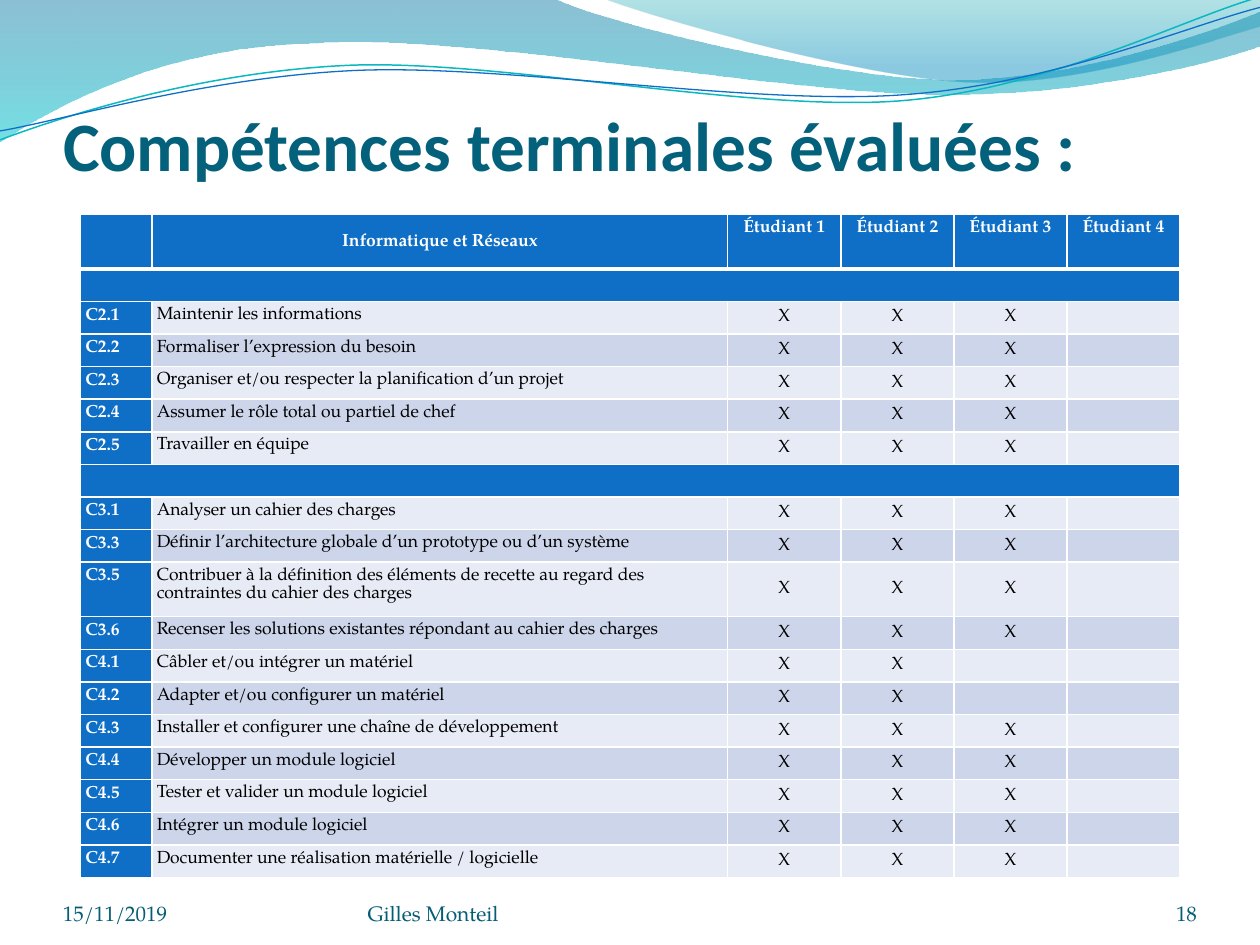
"""Build the slide listing the final skills assessed for each student."""
from lxml.etree import SubElement
from pptx import Presentation
from pptx.dml.color import RGBColor as Rgb
from pptx.enum.text import MSO_ANCHOR as Anchor, PP_ALIGN as Align
from pptx.oxml.ns import qn
from pptx.util import Cm, Pt

COLORS = {
    "blue": "0F6FC6", "teal": "0AB8BF", "title": "04617B", "footer": "045D75",
    "white": "FFFFFF", "black": "000000", "light": "E7EBF5", "dark": "CCD5EA",
    "deep": "0074A1", "cyan": "00C6CF", "sea": "00A1A9", "sky": "008BBF",
}
COLUMNS = [1.44, 11.61] + [2.28] * 4
TABLE_HEIGHT, TALL_ROW = 13.37, 1.1
HEADER = ["", "Informatique et Réseaux"] + [f"Étudiant {n}" for n in range(1, 5)]
SECTIONS = [
    [
        ("C2.1", "Maintenir les informations", 3),
        ("C2.2", "Formaliser l’expression du besoin", 3),
        ("C2.3", "Organiser et/ou respecter la planification d’un projet", 3),
        ("C2.4", "Assumer le rôle total ou partiel de chef", 3),
        ("C2.5", "Travailler en équipe", 3),
    ],
    [
        ("C3.1", "Analyser un cahier des charges", 3),
        ("C3.3", "Définir l’architecture globale d’un prototype ou d’un système", 3),
        ("C3.5", "Contribuer à la définition des éléments de recette au regard des "
                 "contraintes du cahier des charges", 3),
        ("C3.6", "Recenser les solutions existantes répondant au cahier des charges", 3),
        ("C4.1", "Câbler et/ou intégrer un matériel", 2),
        ("C4.2", "Adapter et/ou configurer un matériel", 2),
        ("C4.3", "Installer et configurer une chaîne de développement", 3),
        ("C4.4", "Développer un module logiciel", 3),
        ("C4.5", "Tester et valider un module logiciel", 3),
        ("C4.6", "Intégrer un module logiciel", 3),
        ("C4.7", "Documenter une réalisation matérielle / logicielle", 3),
    ],
]
BROAD_WAVE = [
    (0, 0), (11.18, -0.03), (12.09, 0.43, 16.87, 1.6, 19.25, 1.6),
    (21.67, 1.6, 24.33, 0.66, 25.4, 0.23), (25.43, 0.91),
    (24.97, 1.12, 22.1, 1.93, 18.95, 1.9), (15.8, 1.9, 9.7, 0.71, 6.53, 0.86),
    (3.28, 0.91, 1.17, 2.11, -0.03, 2.87), (0, 0),
]
RIGHT_WAVE = [
    (12.17, -0.03), (12.93, 0.28, 17.32, 1.57, 19.53, 1.65),
    (21.74, 1.75, 24.41, 0.81, 25.4, 0.53), (25.4, 0), (12.17, -0.03),
]
TEAL_CURVE = [
    (-0.05, 2.22), (1.19, 1.82, 4.02, 1.04, 7.05, 1.05),
    (10.05, 1.07, 15.02, 2.37, 18.08, 2.29), (21.13, 2.2, 23.87, 0.91, 25.41, 0.55),
]
BLUE_CURVE = [
    (-0.04, 2.04), (1.16, 1.9, 4.18, 1.15, 7.2, 1.16),
    (10.25, 1.18, 15.13, 2.25, 18.18, 2.17), (21.21, 2.1, 23.93, 1.06, 25.45, 0.75),
]


class Deck:
    """Hold the style and the current slide."""

    body_font, title_font = "TeX Gyre Pagella", "Calibri"

    def __init__(self):
        """Open a presentation with one title-only slide."""
        self.presentation = Presentation()
        self.presentation.slide_width, self.presentation.slide_height = Cm(25.4), Cm(19.05)
        self.slide = self.presentation.slides.add_slide(self.presentation.slide_layouts[5])

    def color(self, name):
        """Return a palette colour."""
        return Rgb.from_string(COLORS[name])

    def style(self, paragraph, size, color, bold=False, align=Align.LEFT, name=None):
        """Format one paragraph."""
        paragraph.alignment = align
        font = paragraph.font
        font.name, font.size, font.bold = name or self.body_font, Pt(size), bold
        font.color.rgb = self.color(color)

    def outline(self, segments, close):
        """Draw a freeform whose six-number segments are cubic curves."""
        anchors = [(Cm(segment[-2]), Cm(segment[-1])) for segment in segments]
        builder = self.slide.shapes.build_freeform(*anchors[0])
        builder.add_line_segments(anchors[1:], close=close)
        shape = builder.convert_to_shape()
        shape.shadow.inherit = False
        route = next(shape.element.iter(qn("a:path")))
        for command in list(route):
            route.remove(command)
        for order, segment in enumerate(segments):
            kind = "cubicBezTo" if len(segment) == 6 else "lnTo" if order else "moveTo"
            command = SubElement(route, qn(f"a:{kind}"))
            for x, y in zip(segment[::2], segment[1::2]):
                SubElement(command, qn("a:pt"), x=str(Cm(x) - shape.left), y=str(Cm(y) - shape.top))
        if close:
            SubElement(route, qn("a:close"))
        return shape

    def wave(self, segments, stops):
        """Draw a closed shape with a translucent vertical gradient."""
        shape = self.outline(segments, True)
        shape.line.fill.background()
        shape.fill.gradient()
        shape.fill.gradient_angle = 270
        for stop, (position, color, _) in zip(shape.fill.gradient_stops, stops):
            stop.position, stop.color.rgb = position, self.color(color)
        for tint, (_, _, opacity) in zip(shape.element.iter(qn("a:srgbClr")), stops):
            SubElement(tint, qn("a:alpha"), val=str(opacity * 1000))

    def curve(self, segments, color, width):
        """Draw an open, slightly turned line."""
        shape = self.outline(segments, False)
        shape.rotation = 357.3
        shape.fill.background()
        shape.line.color.rgb, shape.line.width = self.color(color), Pt(width)

    def title(self, text):
        """Fill the title placeholder and bring it in front of the waves."""
        title = self.slide.shapes.title
        self.slide.shapes.element.append(title.element)
        title.left, title.top, title.width, title.height = Cm(1.27), Cm(1.96), Cm(22.86), Cm(1.98)
        frame = title.text_frame
        frame.margin_left = frame.margin_right = frame.margin_bottom = 0
        frame.margin_top, frame.vertical_anchor = Cm(0.1), Anchor.TOP
        frame.text = text
        self.style(frame.paragraphs[0], 39.6, "title", True, name=self.title_font)

    def footer(self, text, left, width, align=Align.LEFT):
        """Add a text at the foot of the slide."""
        frame = self.slide.shapes.add_textbox(Cm(left), Cm(17.65), Cm(width), Cm(1.02)).text_frame
        frame.margin_left = frame.margin_right = frame.margin_top = frame.margin_bottom = 0
        frame.word_wrap, frame.vertical_anchor = True, Anchor.BOTTOM
        frame.text = text
        self.style(frame.paragraphs[0], 12, "footer", align=align)

    def cell(self, cell, text, fill, bold=False, align=Align.LEFT, anchor=Anchor.TOP,
             top=1, bottom=1):
        """Fill and frame one table cell."""
        cell.margin_left = cell.margin_right = cell.margin_top = cell.margin_bottom = Cm(0.1)
        cell.vertical_anchor, cell.text = anchor, text
        paragraph = cell.text_frame.paragraphs[0]
        self.style(paragraph, 10, "white" if fill == "blue" else "black", bold, align)
        paragraph.line_spacing = Pt(10.3)
        properties = cell._tc.get_or_add_tcPr()
        for side, width in (("L", 1), ("R", 1), ("T", top), ("B", bottom)):
            border = SubElement(properties, qn(f"a:ln{side}"), w=str(Pt(width)))
            SubElement(SubElement(border, qn("a:solidFill")), qn("a:srgbClr"), val=COLORS["white"])
        cell.fill.solid()
        cell.fill.fore_color.rgb = self.color(fill)

    def skills(self, header, sections):
        """Add the table of skills, one band per section."""
        count = 1 + sum(len(section) + 1 for section in sections)
        table = self.slide.shapes.add_table(count, len(header), Cm(1.62), Cm(4.32),
                                            Cm(sum(COLUMNS)), Cm(TABLE_HEIGHT)).table
        table.first_row = table.horz_banding = False
        for column, width in zip(table.columns, COLUMNS):
            column.width = Cm(width)
        for row in table.rows:
            row.height = Cm((TABLE_HEIGHT - 2 * TALL_ROW) / (count - 2))
        table.rows[0].height = Cm(TALL_ROW)
        for index, text in enumerate(header):
            self.cell(table.cell(0, index), text, "blue", True, Align.CENTER,
                      Anchor.MIDDLE if index == 1 else Anchor.TOP, bottom=3)
        line = 1
        for section in sections:
            for index in range(len(header)):
                self.cell(table.cell(line, index), "", "blue", top=3 if line == 1 else 1)
            table.cell(line, 0).merge(table.cell(line, len(header) - 1))
            for order, (code, skill, marks) in enumerate(section):
                line += 1
                band = "dark" if order % 2 else "light"
                self.cell(table.cell(line, 0), code, "blue", True)
                self.cell(table.cell(line, 1), skill, band)
                for student in range(4):
                    self.cell(table.cell(line, student + 2), "X" if student < marks else "",
                              band, align=Align.CENTER, anchor=Anchor.MIDDLE)
                if len(skill) > 80:
                    table.rows[line].height = Cm(TALL_ROW)
            line += 1


def main():
    """Compose and save the slide."""
    deck = Deck()
    deck.wave(BROAD_WAVE, [(0, "deep", 45), (1, "cyan", 55)])
    deck.wave(RIGHT_WAVE, [(0, "sea", 30), (0.8, "sky", 45)])
    deck.curve(TEAL_CURVE, "teal", 0.85)
    deck.curve(BLUE_CURVE, "blue", 0.75)
    deck.title("Compétences terminales évaluées :")
    deck.skills(HEADER, SECTIONS)
    deck.footer("18", 22.02, 2.11, Align.RIGHT)
    deck.footer("15/11/2019", 1.27, 5.92)
    deck.footer("Gilles Monteil", 7.41, 9.32)
    deck.presentation.save("out.pptx")


if __name__ == "__main__":
    main()
